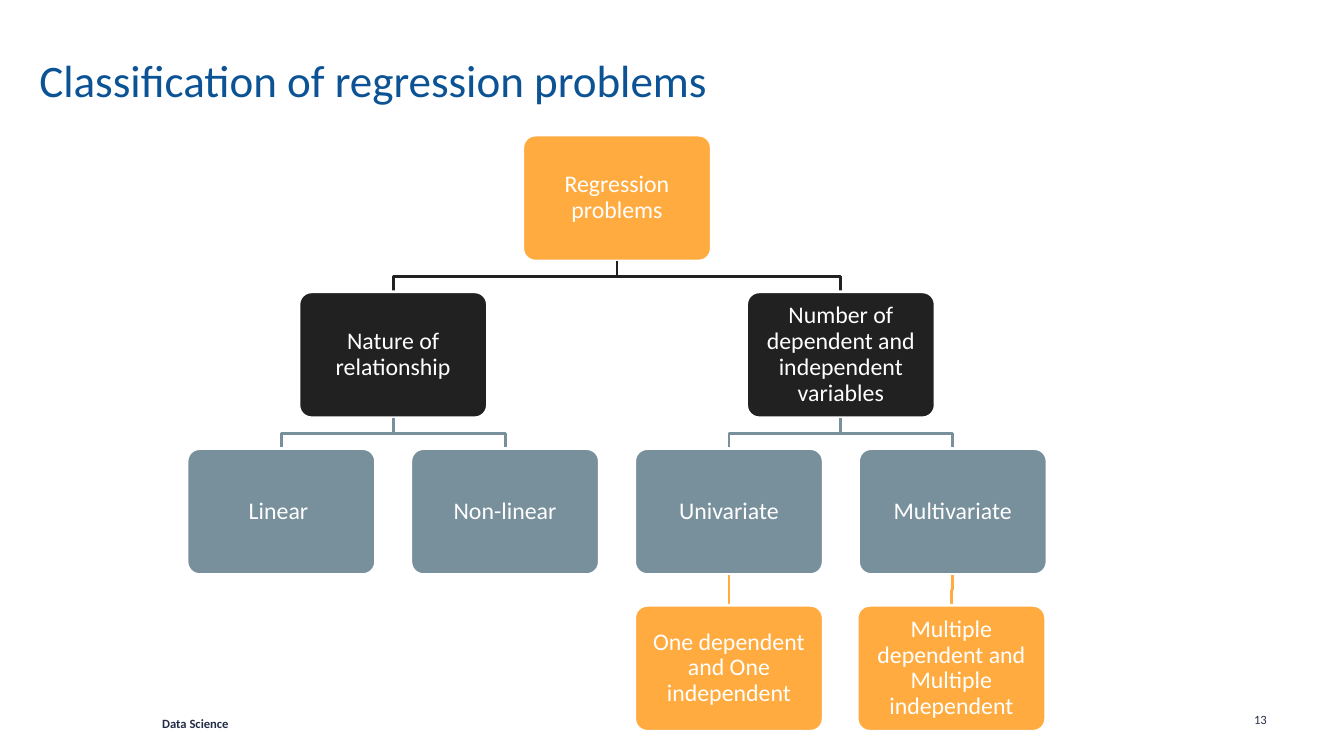
from lxml import etree
from pptx import Presentation
from pptx.dml.color import RGBColor
from pptx.enum import shapes, text
from pptx.oxml import ns
from pptx.util import Inches, Pt

TITLE = "Classification of regression problems"
FOOTERS = [
    ("Data Science", 1.51, 7.05, 2.19, True),
    ("13", 12.34, 7.01, 0.67, False),
]
WHITE = RGBColor(0xFF, 0xFF, 0xFF)
BLUE = RGBColor(0x0B, 0x53, 0x94)
NAVY = RGBColor(0x23, 0x2D, 0x47)
ORANGE = RGBColor(0xFF, 0xAB, 0x40)
BLACK = RGBColor(0x21, 0x21, 0x21)
SLATE = RGBColor(0x78, 0x90, 0x9C)
LEVEL_COLORS = [ORANGE, BLACK, SLATE, ORANGE]

# label, level, column, parent
NODES = [
    ("Regression problems", 0, 1.5, None),
    ("Nature of relationship", 1, 0.5, 0),
    ("Linear ", 2, 0, 1),
    ("Non-linear", 2, 1, 1),
    ("Number of dependent and independent variables", 1, 2.5, 0),
    ("Univariate", 2, 2, 4),
    ("One dependent and One independent", 3, 2, 5),
    ("Multivariate", 2, 3, 4),
    ("Multiple dependent and Multiple independent", 3, 2.994, 7),
]
FIRST_X, PITCH_X = 2.79, 2.22
TOP, PITCH_Y = 1.34, 1.555
BOX_W, BOX_H = 1.87, 1.25


def write(tf, label, size, color, bold=False):
    """Put one formatted run into the frame and return its paragraph."""
    p = tf.paragraphs[0]
    r = p.add_run()
    r.text = label
    r.font.name = "Calibri"
    r.font.size = Pt(size)
    r.font.bold = bold
    r.font.color.rgb = color
    return p


def place(node):
    """Return the centre x and the top y of a node."""
    return FIRST_X + node[2] * PITCH_X, TOP + node[1] * PITCH_Y


def add_link(s, parent, child):
    """Join the bottom of a parent to the top of its child."""
    (x1, y1), (x2, y2) = place(parent), place(child)
    y1 += BOX_H
    mid = (y1 + y2) / 2
    if x1 == x2:
        link = s.shapes.add_connector(
            shapes.MSO_CONNECTOR.STRAIGHT,
            Inches(x1), Inches(y1), Inches(x2), Inches(y2))
        etree.SubElement(link._element.spPr, ns.qn("a:effectLst"))
    else:
        outline = s.shapes.build_freeform(Inches(x1), Inches(y1))
        corners = [(x1, mid), (x2, mid), (x2, y2)]
        outline.add_line_segments(
            [(Inches(x), Inches(y)) for x, y in corners], close=False)
        link = outline.convert_to_shape()
        link.shadow.inherit = False
        link.fill.background()
    link.line.color.rgb = LEVEL_COLORS[child[1]]
    link.line.width = Pt(2)


def add_box(s, node):
    """Draw a node as a rounded box with its label."""
    x, y = place(node)
    sp = s.shapes.add_shape(
        shapes.MSO_SHAPE.ROUNDED_RECTANGLE,
        Inches(x - BOX_W / 2), Inches(y), Inches(BOX_W), Inches(BOX_H))
    sp.adjustments[0] = 0.1
    sp.shadow.inherit = False
    sp.fill.solid()
    sp.fill.fore_color.rgb = LEVEL_COLORS[node[1]]
    sp.line.color.rgb = WHITE
    sp.line.width = Pt(2)
    tf = sp.text_frame
    tf.word_wrap = True
    tf.vertical_anchor = text.MSO_ANCHOR.MIDDLE
    tf.margin_left = tf.margin_right = Inches(0.07)
    tf.margin_top = tf.margin_bottom = Inches(0.07)
    p = write(tf, node[0], 17, WHITE)
    p.alignment = text.PP_ALIGN.CENTER
    p.line_spacing = 0.9


def main():
    """Build the slide and save it."""
    prs = Presentation()
    prs.slide_width, prs.slide_height = Inches(13.33), Inches(7.5)
    s = prs.slides.add_slide(prs.slide_layouts[5])

    title = s.shapes.title
    title.left, title.top = Inches(0.29), Inches(0.1)
    title.width, title.height = Inches(11.5), Inches(1.45)
    tf = title.text_frame
    tf.auto_size = text.MSO_AUTO_SIZE.NONE
    tf.vertical_anchor = text.MSO_ANCHOR.MIDDLE
    p = write(tf, TITLE, 32.2, BLUE)
    p.alignment = text.PP_ALIGN.LEFT
    p.line_spacing = 0.9

    for label, x, y, width, bold in FOOTERS:
        sp = s.shapes.add_textbox(
            Inches(x), Inches(y), Inches(width), Inches(0.25))
        sp.text_frame.word_wrap = True
        write(sp.text_frame, label, 9, NAVY, bold)

    for node in NODES:
        if node[3] is not None:
            add_link(s, NODES[node[3]], node)
        add_box(s, node)

    prs.save("out.pptx")


if __name__ == "__main__":
    main()
